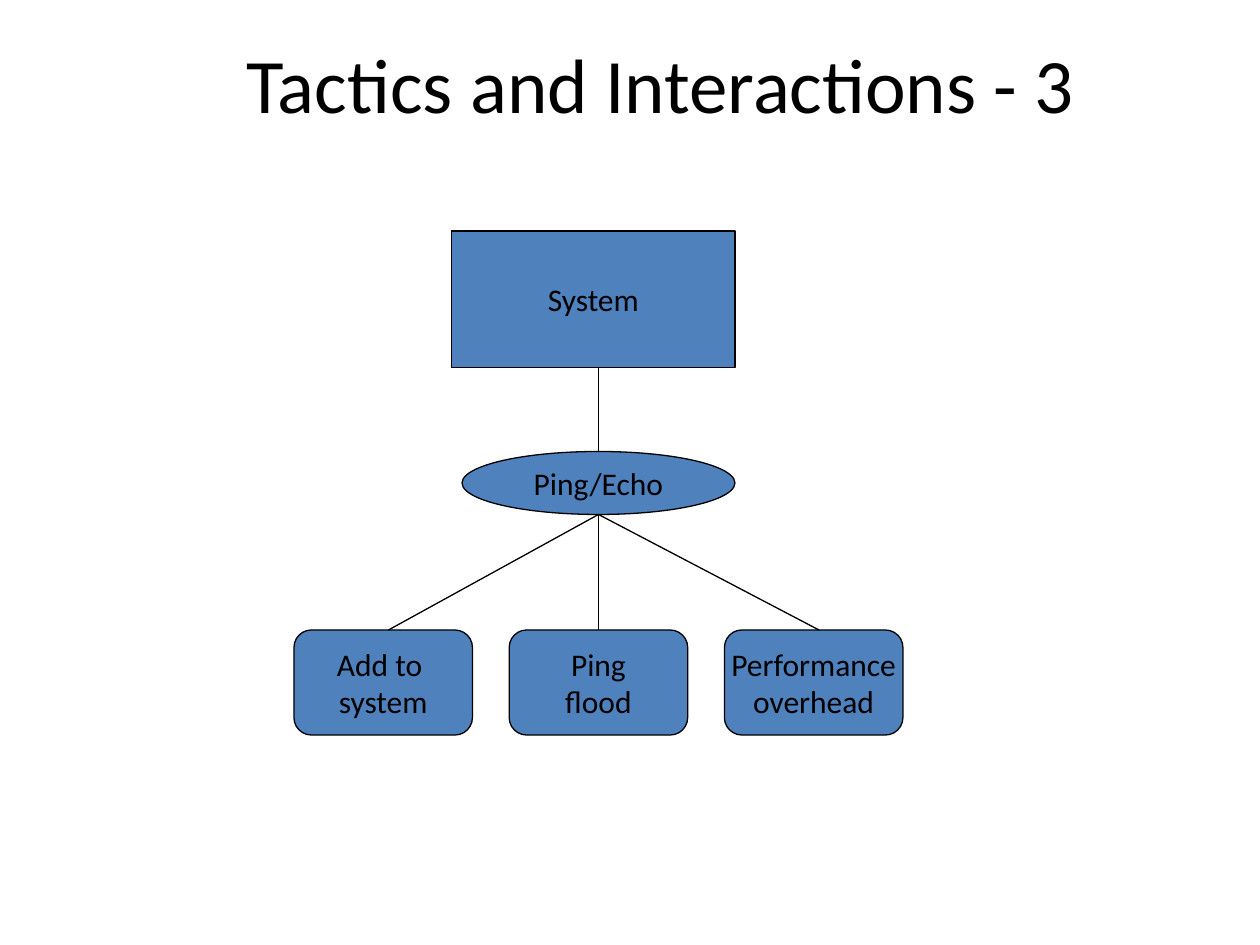
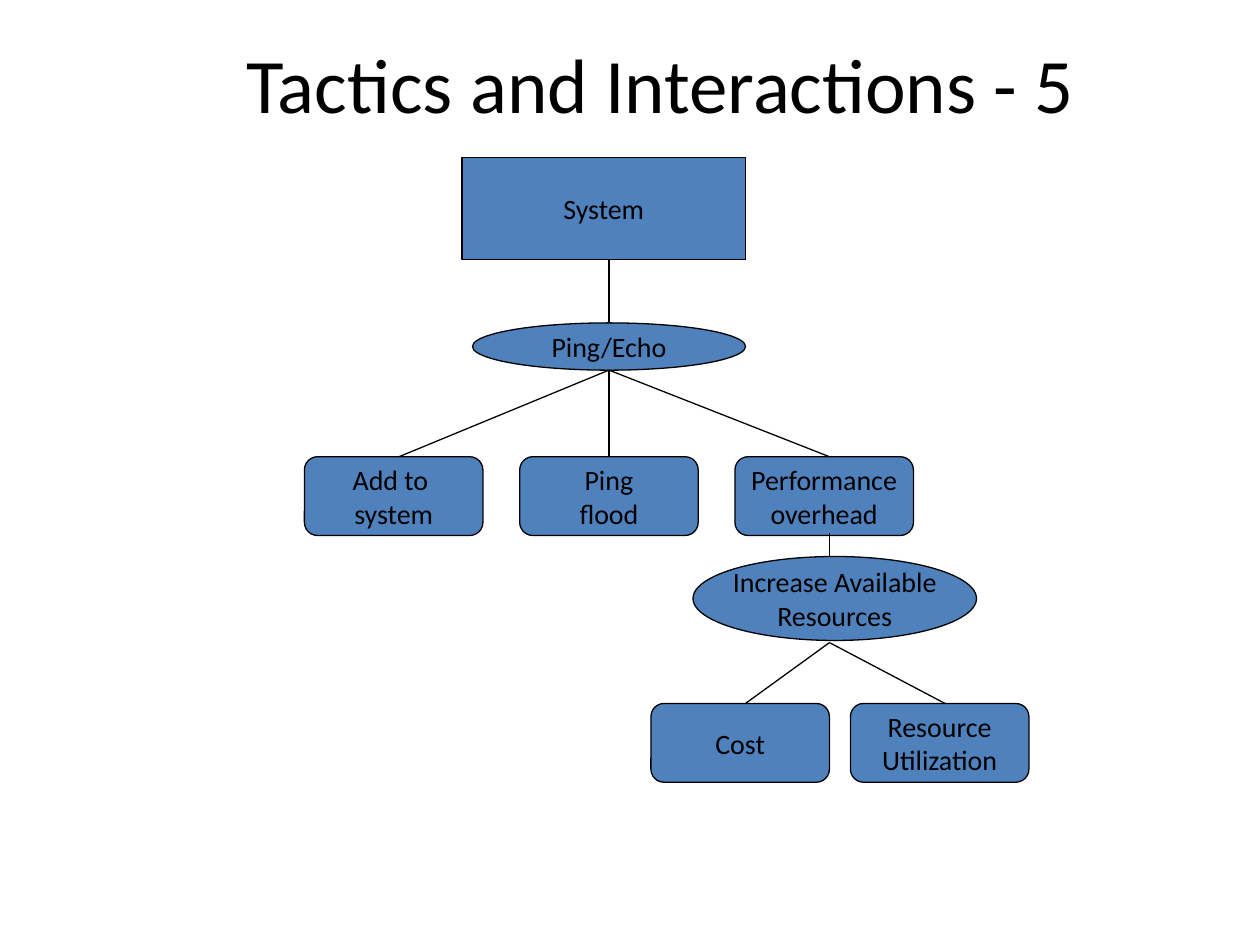
from lxml import etree
from pptx import Presentation
from pptx.dml.color import RGBColor
from pptx.enum.shapes import MSO_CONNECTOR, MSO_SHAPE
from pptx.enum.text import MSO_ANCHOR, PP_ALIGN
from pptx.oxml.ns import qn
from pptx.util import Pt

RECT = MSO_SHAPE.RECTANGLE
OVAL = MSO_SHAPE.OVAL
ROUNDED = MSO_SHAPE.ROUNDED_RECTANGLE
STRAIGHT = MSO_CONNECTOR.STRAIGHT
MIDDLE = MSO_ANCHOR.MIDDLE
CENTER = PP_ALIGN.CENTER

BLUE = RGBColor(0x4F, 0x81, 0xBD)
BLACK = RGBColor(0x00, 0x00, 0x00)
FONT = "Calibri"
LINE_WIDTH = Pt(0.75)
EFFECT_WIDTH = 102
EFFECT_PITCH = 123
EFFECTS = [("Add to \nsystem", 222), ("Ping\nflood", 342), ("Performance\noverhead", 468)]
RESOURCE_EFFECTS = [("Cost", 372, 426), ("Resource\nUtilization", 486, 540)]


def write(shape, text, size, wrap, spacing=None):
    frame = shape.text_frame
    frame.text = text
    frame.word_wrap = wrap
    frame.vertical_anchor = MIDDLE
    for paragraph in frame.paragraphs:
        paragraph.alignment = CENTER
        paragraph.line_spacing = spacing
        for run in paragraph.runs:
            for key, value in {"name": FONT, "size": Pt(size)}.items():
                setattr(run.font, key, value)
            run.font.color.rgb = BLACK


def draw(slide, kind, *lengths, text="", size=18):
    place = [Pt(length) for length in lengths]
    if isinstance(kind, MSO_SHAPE):
        item = slide.shapes.add_shape(kind, *place)
        item.shadow.inherit = False
        item.fill.solid()
        item.fill.fore_color.rgb = BLUE
        write(item, text, size, False)
    else:
        item = slide.shapes.add_connector(kind, *place)
        etree.SubElement(item._element.spPr, qn("a:effectLst"))
    item.line.color.rgb = BLACK
    item.line.width = LINE_WIDTH


prs = Presentation()
prs.slide_width = Pt(720)
prs.slide_height = Pt(540)

for number, shift, top, scale, size in [(3, 0, 132, 1, 18), (5, 6, 90, 0.75, 16)]:
    slide = prs.slides.add_slide(prs.slide_layouts[6])
    title = slide.shapes.add_textbox(Pt(70.8), Pt(21.6), Pt(613.5), Pt(61.2))
    write(title, f"Tactics and Interactions - {number}", 44, True, 0.8)

    trunk = 342 + shift
    system_bottom = top + 78 * scale
    tactic_top = top + 126 * scale
    tactic_bottom = top + 162 * scale
    effect_top = top + 228 * scale
    effect_height = 60 * scale
    draw(slide, RECT, 258 + shift, top, 162, 78 * scale, text="System", size=size)
    draw(slide, STRAIGHT, trunk, system_bottom, trunk, tactic_top)
    draw(slide, OVAL, 264 + shift, tactic_top, 156, 36 * scale, text="Ping/Echo", size=size)
    for column, (effect, branch_end) in enumerate(EFFECTS):
        left = 168 + shift + column * EFFECT_PITCH
        draw(slide, ROUNDED, left, effect_top, EFFECT_WIDTH, effect_height, text=effect, size=size)
        draw(slide, STRAIGHT, trunk, tactic_bottom, branch_end + shift, effect_top)

overhead_x = 474
draw(slide, STRAIGHT, overhead_x, 304.5, overhead_x, 340.5)
draw(slide, OVAL, 396, 318, 162, 48, text="Increase Available\nResources", size=size)
for effect, left, branch_end in RESOURCE_EFFECTS:
    draw(slide, ROUNDED, left, 402, EFFECT_WIDTH, effect_height, text=effect, size=size)
    draw(slide, STRAIGHT, overhead_x, 367.2, branch_end, 402)

prs.save("out.pptx")
